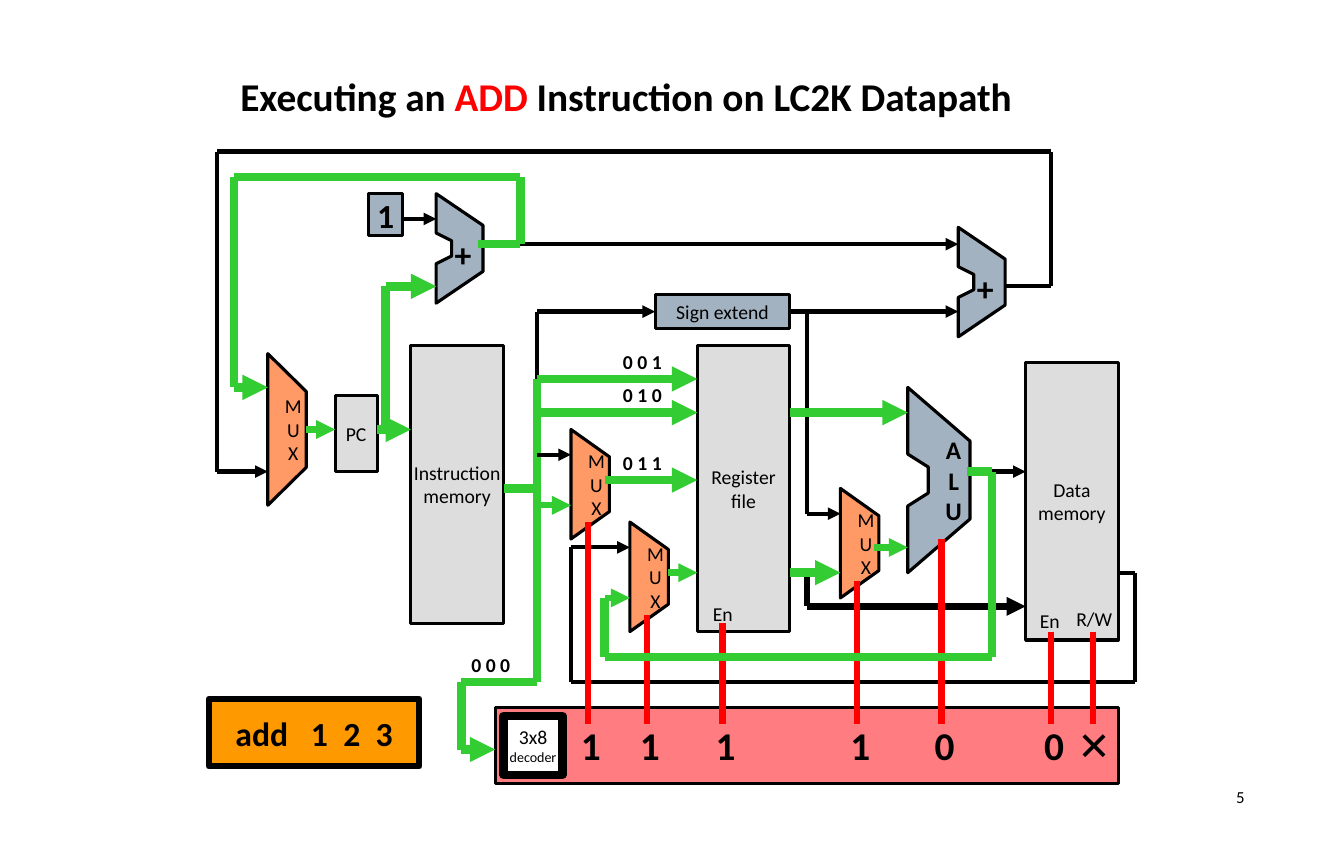
"""Build the slide on executing an ADD instruction on the LC2K datapath."""
from itertools import pairwise

from lxml import etree
from pptx import Presentation
from pptx import util as u
from pptx.dml.color import RGBColor
from pptx.enum import shapes, text
from pptx.oxml.ns import qn

COLORS = {"black": "000000", "red": "FF0000", "green": "33CC33", "grey": "DDDDDD",
          "steel": "A3B2C1", "orange": "FF9966", "amber": "FF9900",
          "pink": "FF7C80", "white": "FFFFFF"}
FONT = "Calibri"
LEFT = 10.8

TITLE = [("Executing an ", "black"), ("ADD", "red"),
         (" Instruction on LC2K Datapath", "black")]

# text, x, y, width, height, fill, line width, sizes per line, bold
BOXES = [
    ("PC", 228, 282, 30, 54, "grey", 2.25, [14], False),
    ("Instruction\nmemory", 282, 246, 66, 198, "grey", 2.25, [14, 14], False),
    ("Register\nfile", 486, 246, 66, 204, "grey", 2.25, [14, 14], False),
    ("Data\nmemory", 720, 258, 66, 198, "grey", 2.25, [14, 14], False),
    ("Sign extend", 456, 210, 96, 24, "steel", 2.25, [14], False),
    ("1", 252, 138, 24, 30, "steel", 2.25, [24], True),
    ("", 342, 504, 444, 54, "pink", 2.25, [14], False),
    ("3x8\ndecoder", 348, 510, 42, 42, "white", 6, [14, 10], False),
    ("add   1  2  3", 138, 498, 150, 48, "amber", 4.5, [24], True),
]

MUX = [(0, 0), (1, 0.25), (1, 0.75), (0, 1)]
ADDER = [(0, 0), (1, 0.29), (1, 0.71), (0, 1),
         (0, 0.64), (0.33, 0.57), (0.33, 0.43), (0, 0.36)]
MUXES = [(180, 252, 108), (396, 306, 78), (438, 372, 78), (588, 348, 78)]
ADDERS = [(300, 138), (672, 162)]

BLACK_WIRES = [
    (3, True, [(552, 222), (672, 222)]),
    (3, True, [(330, 174), (672, 174)]),
    (3, True, [(786, 408), (798, 408), (798, 486), (396, 486), (396, 390), (438, 390)]),
    (3, True, [(705, 204), (738, 204), (738, 108), (144, 108), (144, 336), (180, 336)]),
    (3, True, [(372, 270), (372, 222), (456, 222)]),
    (3, True, [(276, 156), (300, 156)]),
    (3, True, [(564, 222), (564, 366), (588, 366)]),
    (3, True, [(678, 336), (720, 336)]),
    (4.5, True, [(564, 408), (564, 432), (720, 432)]),
]
GREEN_WIRES = [
    (6, True, [(330, 174), (360, 174), (360, 126), (156, 126), (156, 276), (180, 276)]),
    (6, True, [(258, 306), (282, 306)]),
    (6, True, [(264, 306), (264, 204), (300, 204)]),
    (4.5, True, [(207, 306), (228, 306)]),
    (4.5, True, [(465, 408), (486, 408)]),
    (4.5, True, [(372, 360), (396, 360)]),
    (6, False, [(348, 348), (372, 348)]),
    (6, True, [(372, 270), (372, 486), (318, 486), (318, 534), (342, 534)]),
    (6, True, [(372, 270), (486, 270)]),
    (6, True, [(372, 294), (486, 294)]),
    (6, True, [(420, 342), (486, 342)]),
    (6, True, [(552, 294), (636, 294)]),
    (6, True, [(552, 408), (588, 408)]),
    (4.5, True, [(612, 390), (636, 390)]),
    (6, False, [(678, 336), (696, 336), (696, 468), (420, 468), (420, 426)]),
    (4.5, True, [(420, 426), (438, 426)]),
]
MUX_INPUT = [(3, True, [(372, 324), (396, 324)])]

# x, top of the control line, control bit
CONTROLS = [(408, 372, "1"), (450, 438, "1"), (504, 444, "1"), (600, 414, "1"),
            (660, 384, "0"), (738, 450, "0"), (768, 450, "✕")]

# text, x, y, bold
LABELS = [("0 0 1", 426, 245.5, True), ("0 1 0", 426, 269.5, True),
          ("0 1 1", 426, 317.5, True), ("0 0 0", 318, 461.5, True),
          ("R/W", 749, 428.5, False), ("En", 723, 430, False), ("En", 490, 425, False)]


def rgb(name):
    return RGBColor.from_string(COLORS[name])


def style_font(font, size, bold=False, color="black"):
    font.name, font.size, font.bold = FONT, u.Pt(size), bold
    font.color.rgb = rgb(color)


def style_shape(sp, fill, width):
    sp.shadow.inherit = False
    sp.fill.solid()
    sp.fill.fore_color.rgb = rgb(fill)
    sp.line.color.rgb = rgb("black")
    sp.line.width = u.Pt(width)


def fill_text(sp, words, sizes, bold, left=0, top=0):
    tf = sp.text_frame
    tf.text = words
    tf.word_wrap = False
    tf.vertical_anchor = text.MSO_ANCHOR.MIDDLE
    tf.margin_left, tf.margin_top = u.Pt(left), u.Pt(top)
    tf.margin_right = tf.margin_bottom = 0
    for p, size in zip(tf.paragraphs, sizes):
        p.alignment = text.PP_ALIGN.CENTER
        for r in p.runs:
            style_font(r.font, size, bold)


def add_outline(s, outline, x, y, w, h):
    pts = [(u.Pt(LEFT + x + fx * w), u.Pt(y + fy * h)) for fx, fy in outline]
    fb = s.shapes.build_freeform(*pts[0])
    fb.add_line_segments(pts[1:], close=True)
    return fb.convert_to_shape()


def add_wires(s, wires, color):
    for width, arrow, points in wires:
        for (x1, y1), (x2, y2) in pairwise(points):
            cn = s.shapes.add_connector(shapes.MSO_CONNECTOR.STRAIGHT, u.Pt(LEFT + x1),
                                        u.Pt(y1), u.Pt(LEFT + x2), u.Pt(y2))
            cn.line.color.rgb = rgb(color)
            cn.line.width = u.Pt(width)
            etree.SubElement(cn._element.spPr, qn("a:effectLst"))
        if arrow:
            etree.SubElement(cn.line._get_or_add_ln(), qn("a:tailEnd"), type="triangle")


def add_label(s, words, x, y, size, bold, width=60):
    tf = s.shapes.add_textbox(u.Pt(x), u.Pt(y), u.Pt(width), u.Pt(size * 1.75)).text_frame
    tf.word_wrap = True
    tf.text = words
    p = tf.paragraphs[0]
    style_font(p.runs[0].font, size, bold)
    return p


def main():
    prs = Presentation()
    prs.slide_width, prs.slide_height = u.Pt(957.6), u.Pt(612)
    s = prs.slides.add_slide(prs.slide_layouts[5])

    title = s.shapes.title
    title.left, title.top, title.width, title.height = map(u.Pt, (164, 48, 630, 66))
    title.text_frame.vertical_anchor = text.MSO_ANCHOR.TOP
    p = title.text_frame.paragraphs[0]
    p.alignment = text.PP_ALIGN.LEFT
    for words, color in TITLE:
        r = p.add_run()
        r.text = words
        style_font(r.font, 28, True, color)

    for words, x, y, w, h, fill, width, sizes, bold in BOXES:
        sp = s.shapes.add_shape(shapes.MSO_SHAPE.RECTANGLE, u.Pt(LEFT + x), u.Pt(y),
                                u.Pt(w), u.Pt(h))
        style_shape(sp, fill, width)
        fill_text(sp, words, sizes, bold)

    add_wires(s, BLACK_WIRES, "black")
    for x, y, h in MUXES:
        sp = add_outline(s, MUX, x, y, 27.4, h)
        style_shape(sp, "orange", 2.25)
        fill_text(sp, "M\nU\nX", [14] * 3, False, left=9)
    for x, y in ADDERS:
        sp = add_outline(s, ADDER, x, y, 33.4, 78)
        style_shape(sp, "steel", 2.25)
        fill_text(sp, "+", [24], True, left=5, top=8)
    alu = add_outline(s, ADDER, 636, 276, 44.4, 132)
    style_shape(alu, "steel", 2.25)
    fill_text(alu, "A\nL\nU", [18] * 3, True, left=21)

    add_wires(s, [(4.5, False, [(x, y), (x, 516)]) for x, y, _ in CONTROLS], "red")
    add_wires(s, GREEN_WIRES, "green")
    add_wires(s, MUX_INPUT, "black")

    for x, _, bit in CONTROLS:
        known = bit.isdigit()
        add_label(s, bit, LEFT + x - (12 if known else 18), 510, 28, known)
    for words, x, y, bold in LABELS:
        add_label(s, words, LEFT + x, y, 14, bold)
    add_label(s, "5", 734, 557, 12, False, width=160).alignment = text.PP_ALIGN.RIGHT

    prs.save("out.pptx")


if __name__ == "__main__":
    main()
